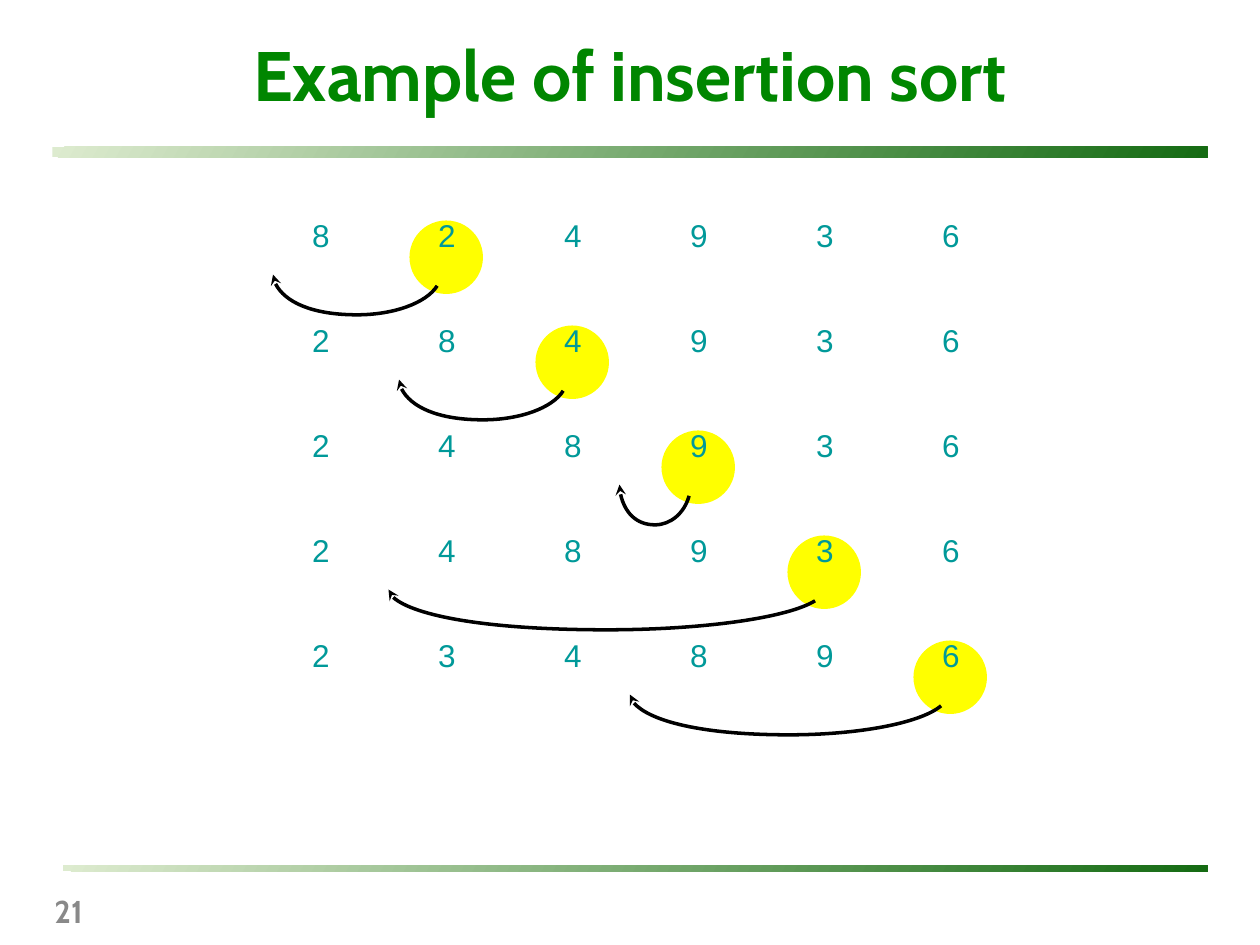
from math import cos, radians, sin, tan

from lxml import etree
from pptx import Presentation
from pptx.dml.color import RGBColor
from pptx.enum import shapes, text
from pptx.oxml.ns import qn
from pptx.util import Pt

TITLE = "Example of insertion sort"
PAGE = "21"
# Numbers at each step, column of the moved number, x of the arrow tip
STEPS = [
    ("824936", 1, 156),
    ("284936", 2, 228),
    ("248936", 3, 354),
    ("248936", 4, 222),
    ("234896", 5, 360),
]
GROUPED = 3  # the first steps are grouped
RULES = [(30, 84, 660, 6), (36, 494.5, 654, 3.5)]  # left, top, width, height

GREEN = RGBColor(0x00, 0x86, 0x00)
PALE = RGBColor(0xDD, 0xEB, 0xCF)
DARK = RGBColor(0x15, 0x6B, 0x13)
GREY = RGBColor(0x89, 0x89, 0x89)
TEAL = RGBColor(0x00, 0x99, 0x99)
YELLOW = RGBColor(0xFF, 0xFF, 0x00)
BLACK = RGBColor(0, 0, 0)

COL, ROW = 72, 60  # grid pitch
LEFT, TOP = 162, 120  # first circle's left, first number's top
DISC = 42
DROP = 23.4  # depth of an arc
ANGLES = (17, 90, 179)  # arc start, lowest point and tip


def write(parent, words, box, size, color, font="Cabin", bold=True,
          align=text.PP_ALIGN.LEFT, anchor=text.MSO_ANCHOR.MIDDLE, wrap=True):
    frame = parent.add_textbox(*map(Pt, box)).text_frame
    frame.word_wrap = wrap
    frame.vertical_anchor = anchor
    para = frame.paragraphs[0]
    para.text = words
    para.alignment = align
    para.font.name = font
    para.font.size = Pt(size)
    para.font.bold = bold
    para.font.color.rgb = color


def draw_rule(parent, box):
    bar = parent.add_shape(shapes.MSO_SHAPE.RECTANGLE, *map(Pt, box))
    bar.shadow.inherit = False
    bar.line.fill.background()
    bar.fill.gradient()
    bar.fill.gradient_angle = 330
    for stop, color in zip(bar.fill.gradient_stops, (PALE, DARK)):
        stop.color.rgb = color


def draw_disc(parent, x, y):
    disc = parent.add_shape(shapes.MSO_SHAPE.OVAL, Pt(x), Pt(y), Pt(DISC), Pt(DISC))
    disc.shadow.inherit = False
    disc.fill.solid()
    disc.fill.fore_color.rgb = YELLOW
    disc.line.fill.background()


def draw_arc(parent, tip, tail, y):
    """Lower part of an ellipse, from the circle on the right to the tip."""
    half = (tail - tip) / (1 + cos(radians(ANGLES[0])))

    def spot(angle, pull=0):
        """Point on the ellipse, moved along its tangent by pull."""
        c, s = cos(radians(angle)), sin(radians(angle))
        return (Pt(tip + half + half * (c - pull * s)), Pt(y + DROP * (s + pull * c)))

    first, *rest = map(spot, ANGLES)
    path = parent.build_freeform(*first)
    path.add_line_segments(rest, close=False)
    arc = path.convert_to_shape()
    arc.shadow.inherit = False
    arc.fill.background()
    arc.line.color.rgb = BLACK
    arc.line.width = Pt(2)
    etree.SubElement(arc.line._get_or_add_ln(), qn("a:tailEnd"), type="stealth")

    # Bend each straight segment into a curve
    lines = list(arc._element.iter(qn("a:lnTo")))
    for line, a, b in zip(lines, ANGLES, ANGLES[1:]):
        pull = 4 / 3 * tan(radians(b - a) / 4)
        curve = etree.Element(qn("a:cubicBezTo"))
        for px, py in (spot(a, pull), spot(b, -pull), spot(b)):
            etree.SubElement(curve, qn("a:pt"), x=str(px - arc.left), y=str(py - arc.top))
        line.getparent().replace(line, curve)


def main():
    deck = Presentation()
    deck.slide_width, deck.slide_height = Pt(720), Pt(540)
    parts = deck.slides.add_slide(deck.slide_layouts[6]).shapes

    # Frame of the slide
    for box in RULES:
        draw_rule(parts, box)
    write(parts, PAGE, (24, 500.5, 198, 39.5), 18, GREY)
    write(parts, TITLE, (36, 6, 648, 72), 40, GREEN, align=text.PP_ALIGN.CENTER)

    # Sorting steps
    for row, (digits, moved, tip) in enumerate(STEPS):
        home = parts.add_group_shape().shapes if row < GROUPED else parts
        y = TOP + row * ROW
        x = LEFT + moved * COL
        draw_disc(home, x, y + 6)
        for col, digit in enumerate(digits):
            box = (LEFT + 9.3 + col * COL, y, 24.5, 29)
            write(home, digit, box, 18, TEAL, font="Arial", bold=False,
                  anchor=text.MSO_ANCHOR.TOP, wrap=False)
        draw_arc(home, tip, x + 15.8, y + 36.5)

    deck.save("out.pptx")


if __name__ == "__main__":
    main()
